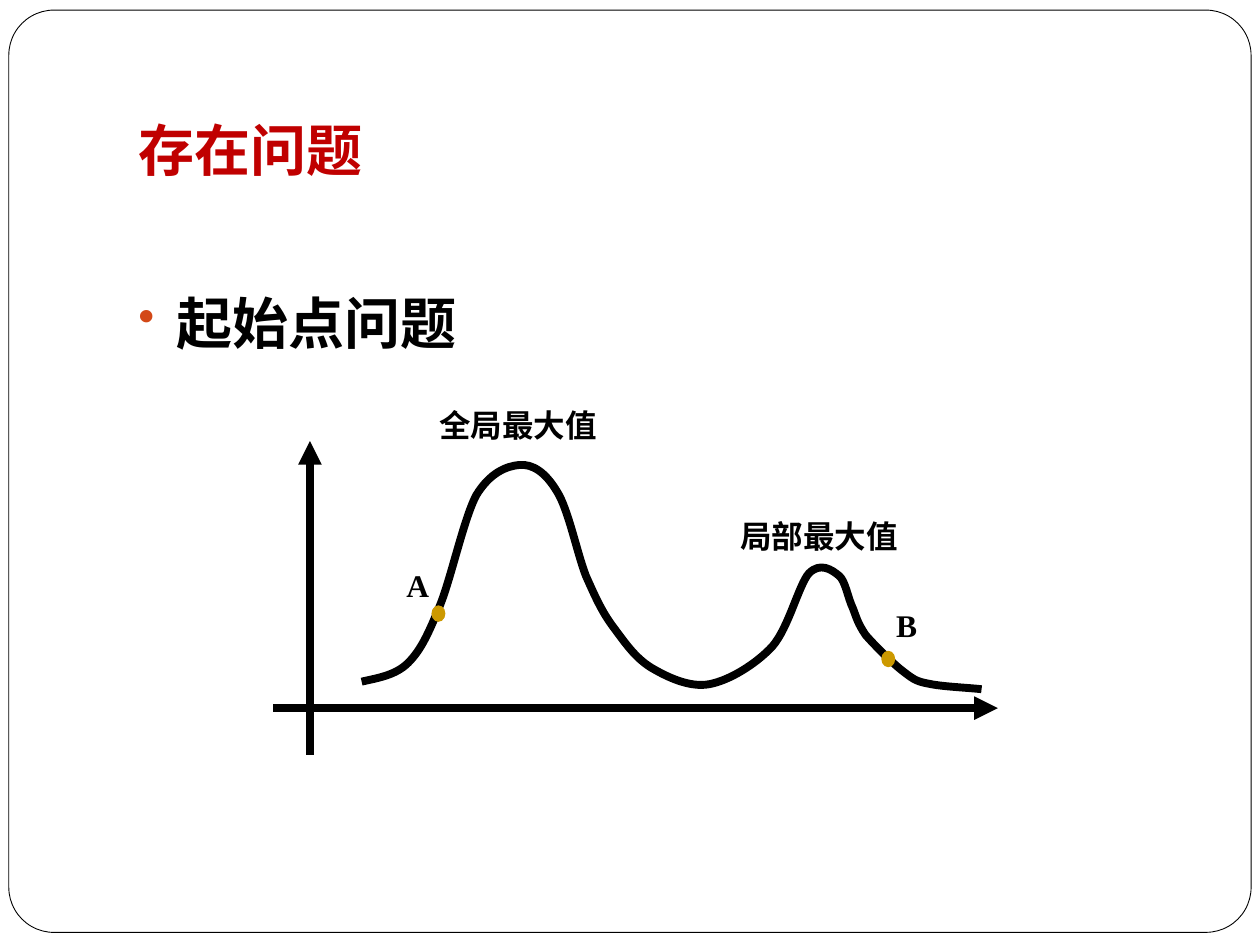
from lxml import etree
from pptx import Presentation
from pptx.dml.color import RGBColor
from pptx.enum.shapes import MSO_CONNECTOR, MSO_SHAPE
from pptx.enum.text import MSO_ANCHOR, PP_ALIGN
from pptx.oxml.ns import qn
from pptx.util import Inches, Pt

STRAIGHT = MSO_CONNECTOR.STRAIGHT
ROUNDED, OVAL = MSO_SHAPE.ROUNDED_RECTANGLE, MSO_SHAPE.OVAL
TOP, BOTTOM = MSO_ANCHOR.TOP, MSO_ANCHOR.BOTTOM
LEFT, CENTER = PP_ALIGN.LEFT, PP_ALIGN.CENTER

CURVE_START = (2.87, 5.41)
CURVE_SEGMENTS = [
    [(3, 5.38), (3.14, 5.36), (3.24, 5.26)],
    [(3.34, 5.16), (3.4, 5.03), (3.49, 4.81)],
    [(3.58, 4.59), (3.68, 4.12), (3.78, 3.93)],
    [(3.89, 3.75), (4.02, 3.7), (4.12, 3.69)],
    [(4.23, 3.68), (4.33, 3.75), (4.42, 3.9)],
    [(4.51, 4.04), (4.58, 4.39), (4.65, 4.57)],
    [(4.73, 4.75), (4.78, 4.86), (4.87, 4.98)],
    [(4.96, 5.1), (5.04, 5.22), (5.17, 5.3)],
    [(5.29, 5.37), (5.47, 5.46), (5.63, 5.43)],
    [(5.79, 5.4), (6, 5.27), (6.13, 5.13)],
    [(6.26, 4.98), (6.34, 4.64), (6.42, 4.55)],
    [(6.51, 4.46), (6.6, 4.52), (6.66, 4.57)],
    [(6.71, 4.61), (6.73, 4.75), (6.77, 4.83)],
    [(6.8, 4.91), (6.81, 4.95), (6.87, 5.04)],
    [(6.94, 5.12), (7.09, 5.27), (7.17, 5.33)],
    [(7.26, 5.4), (7.28, 5.41), (7.39, 5.43)],
    [(7.49, 5.45), (7.71, 5.46), (7.79, 5.47)],
]


def color(value):
    return RGBColor.from_string(value)


class SlideBuilder:
    font = "Times New Roman"
    ink = "000000"
    title_ink = "C00000"
    bullet_ink = "D34817"
    marker_ink = "CC9900"
    heading_size = 32
    label_size = 18
    stroke = 4.5

    def __init__(self, page):
        self.page = page

    def shape(self, kind, left, top, width, height, fill, line, weight):
        shape = self.page.shapes.add_shape(
            kind, Inches(left), Inches(top), Inches(width), Inches(height))
        shape.shadow.inherit = False
        shape.fill.solid()
        shape.fill.fore_color.rgb = color(fill)
        shape.line.color.rgb = color(line)
        shape.line.width = Pt(weight)
        return shape

    def frame(self):
        frame = self.shape(ROUNDED, 0.07, 0.08, 9.86, 7.32, "FFFFFF", self.ink, 0.5)
        frame.adjustments[0] = 0.049

    def marker(self, left, top):
        self.shape(OVAL, left, top, 0.1, 0.12, self.marker_ink, self.marker_ink, 0.75)

    def text(self, words, left, top, width, height, size, ink, align=LEFT,
             anchor=TOP, bottom=0.05, bullet=None):
        box = self.page.shapes.add_textbox(
            Inches(left), Inches(top), Inches(width), Inches(height))
        frame = box.text_frame
        frame.word_wrap = True
        frame.vertical_anchor = anchor
        frame.margin_bottom = Inches(bottom)
        frame.text = words
        para = frame.paragraphs[0]
        para.alignment = align
        if bullet:
            self.bullet(para, bullet)
        span = para.runs[0]
        span.font.name = self.font
        span.font.size = Pt(size)
        span.font.bold = True
        span.font.color.rgb = color(ink)

    def bullet(self, para, character):
        properties = para._p.get_or_add_pPr()
        properties.set("marL", str(Inches(0.3)))
        properties.set("indent", str(-Inches(0.3)))
        bullet_color = etree.SubElement(properties, qn("a:buClr"))
        etree.SubElement(bullet_color, qn("a:srgbClr"), val=self.bullet_ink)
        etree.SubElement(properties, qn("a:buSzPct"), val="85000")
        etree.SubElement(properties, qn("a:buChar"), char=character)

    def title(self, words):
        self.text(words, 1, 0.3, 8.5, 1.25, self.heading_size, self.title_ink,
                  anchor=BOTTOM, bottom=0.1)

    def body(self, words):
        self.text(words, 1, 2.24, 8.5, 4.34, self.heading_size, self.ink, bullet="•")

    def label(self, words, left, top, width):
        self.text(words, left, top, width, 0.58, self.label_size, self.ink, CENTER)

    def axis(self, *ends):
        axis = self.page.shapes.add_connector(STRAIGHT, *map(Inches, ends))
        axis.line.color.rgb = color(self.ink)
        axis.line.width = Pt(self.stroke)
        properties = axis._element.spPr
        etree.SubElement(properties.find(qn("a:ln")), qn("a:tailEnd"), type="triangle")
        etree.SubElement(properties, qn("a:effectLst"))

    def curve(self, start, segments):
        builder = self.page.shapes.build_freeform(*map(Inches, start), scale=1.0)
        anchors = [(Inches(x), Inches(y)) for *_, (x, y) in segments]
        builder.add_line_segments(anchors, close=False)
        curve = builder.convert_to_shape()
        curve.shadow.inherit = False
        curve.fill.background()
        curve.line.color.rgb = color(self.ink)
        curve.line.width = Pt(self.stroke)
        straight_parts = list(curve._element.iter(qn("a:lnTo")))
        for straight, points in zip(straight_parts, segments):
            bend = etree.Element(qn("a:cubicBezTo"))
            for x, y in points:
                etree.SubElement(bend, qn("a:pt"), x=str(Inches(x) - curve.left),
                                 y=str(Inches(y) - curve.top))
            straight.getparent().replace(straight, bend)


def main():
    deck = Presentation()
    deck.slide_width, deck.slide_height = Inches(10), Inches(7.5)
    slide = SlideBuilder(deck.slides.add_slide(deck.slide_layouts[6]))
    slide.frame()
    slide.title("存在问题")
    slide.body("起始点问题")
    slide.axis(2.17, 5.62, 7.92, 5.62)
    slide.axis(2.46, 5.99, 2.46, 3.5)
    slide.curve(CURVE_START, CURVE_SEGMENTS)
    for left, top in [(3.43, 4.81), (7, 5.17)]:
        slide.marker(left, top)
    for words, left, top, width in [
        ("A", 3.01, 4.44, 0.61),
        ("B", 6.89, 4.76, 0.61),
        ("全局最大值", 3.38, 3.17, 1.46),
        ("局部最大值", 5.77, 4.05, 1.46),
    ]:
        slide.label(words, left, top, width)
    deck.save("out.pptx")


if __name__ == "__main__":
    main()
